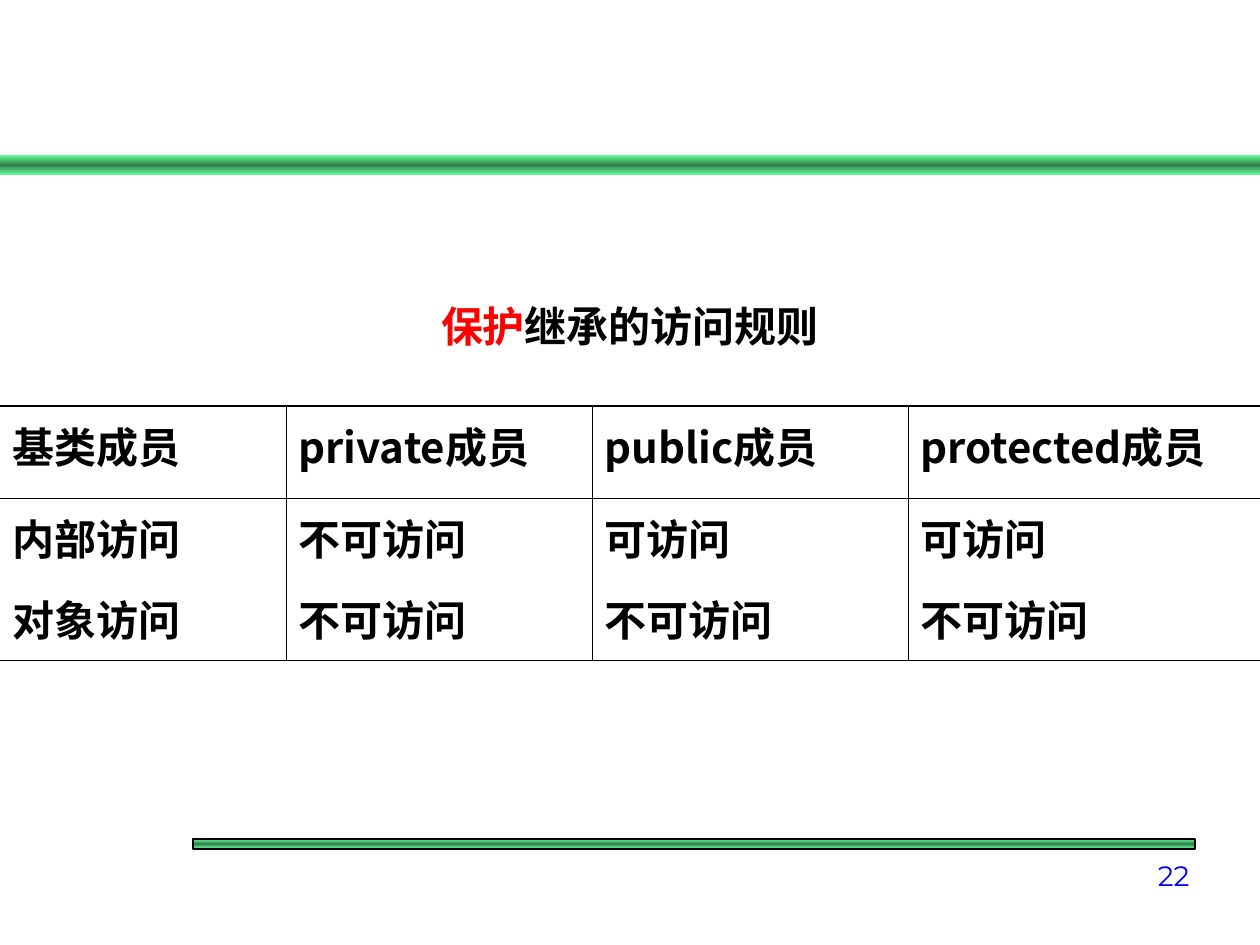
from copy import deepcopy

from lxml import etree
from pptx import Presentation
from pptx.dml.color import RGBColor
from pptx.enum.shapes import MSO_SHAPE
from pptx.enum.text import MSO_ANCHOR, PP_ALIGN
from pptx.oxml.ns import qn
from pptx.util import Emu, Pt

RECTANGLE = MSO_SHAPE.RECTANGLE
TOP, BOTTOM = MSO_ANCHOR.TOP, MSO_ANCHOR.BOTTOM
CENTER, RIGHT = PP_ALIGN.CENTER, PP_ALIGN.RIGHT

# Content
TITLE_RUNS = [("保护", "FF0000"), ("继承的访问规则", "000000")]
ACCESS_RULES = [
    ["基类成员", "private成员", "public成员", "protected成员"],
    ["内部访问", "不可访问", "可访问", "可访问"],
    ["对象访问", "不可访问", "不可访问", "不可访问"],
]
PAGE_NUMBER = "22"

# Layout in px
TITLE_BOX = (0, 294, 1260, 80)
TABLE_LEFT, TABLE_TOP = 0, 406
COLUMN_WIDTHS = [286, 306, 316, 352]
ROW_HEIGHTS = [92, 81, 81]
HEADER_BAR = (0, 155, 1260, 20)
FOOTER_BAR = (193, 839, 1002, 10)
PAGE_NUMBER_BOX = (1102, 849, 100, 49)

# Style
CJK_FONT, NUMBER_FONT = "Noto Sans CJK SC", "Montserrat"
BAR_COLORS = ["66FF99", "337F4C", "66FF99"]
THIN, THICK = 0.45, 1.08


def px(value):
    return Emu(value * 914400 // 126)


def box(lengths):
    return [px(length) for length in lengths]


def color(hex_string):
    return RGBColor.from_string(hex_string)


def format_run(run, size, font_name, hex_color, bold=False):
    font = run.font
    font.size, font.name, font.bold = Pt(size), font_name, bold
    font.color.rgb = color(hex_color)
    east_asian = etree.Element(qn("a:ea"), typeface=font_name)
    font._element.find(qn("a:latin")).addnext(east_asian)


def add_bar(slide, lengths, outlined):
    bar = slide.shapes.add_shape(RECTANGLE, *box(lengths))
    bar.shadow.inherit = False
    bar.fill.gradient()
    bar.fill.gradient_angle = 90
    first_stop = bar._element.spPr.find(".//" + qn("a:gs"))
    first_stop.addnext(deepcopy(first_stop))
    for index, stop in enumerate(bar.fill.gradient_stops):
        stop.position = index / 2
        stop.color.rgb = color(BAR_COLORS[index])
    if outlined:
        bar.line.color.rgb = color("000000")
        bar.line.width = Pt(1)
    else:
        bar.line.fill.background()


def set_borders(cell, widths):
    properties = cell._tc.get_or_add_tcPr()
    for side in "LRTB":
        width = widths.get(side, 0)
        line = etree.SubElement(properties, qn("a:ln" + side), w=str(Pt(width)))
        if width:
            fill = etree.SubElement(line, qn("a:solidFill"))
            etree.SubElement(fill, qn("a:srgbClr"), val="000000")
        else:
            etree.SubElement(line, qn("a:noFill"))


def add_access_table(slide):
    row_count, column_count = len(ROW_HEIGHTS), len(COLUMN_WIDTHS)
    lengths = (TABLE_LEFT, TABLE_TOP, sum(COLUMN_WIDTHS), sum(ROW_HEIGHTS))
    table = slide.shapes.add_table(row_count, column_count, *box(lengths)).table
    table.first_row = table.horz_banding = False
    for column, width in zip(table.columns, COLUMN_WIDTHS):
        column.width = px(width)
    for row, height in zip(table.rows, ROW_HEIGHTS):
        row.height = px(height)

    # Rules above, below the header and at the bottom; rules between columns
    horizontal_rules = [THICK, THIN, 0, THIN]
    vertical_rules = [0] + [THIN] * (column_count - 1) + [0]
    for row_index, texts in enumerate(ACCESS_RULES):
        for column_index, text in enumerate(texts):
            cell = table.cell(row_index, column_index)
            set_borders(cell, {
                "L": vertical_rules[column_index],
                "R": vertical_rules[column_index + 1],
                "T": horizontal_rules[row_index],
                "B": horizontal_rules[row_index + 1],
            })
            cell.fill.background()
            cell.margin_top = px(9)
            cell.text_frame.text = text
            run = cell.text_frame.paragraphs[0].runs[0]
            format_run(run, 24, CJK_FONT, "000000", bold=True)


def main():
    presentation = Presentation()
    presentation.slide_width, presentation.slide_height = px(1260), px(945)
    slide = presentation.slides.add_slide(presentation.slide_layouts[5])

    # Green bars
    add_bar(slide, HEADER_BAR, outlined=False)
    add_bar(slide, FOOTER_BAR, outlined=True)

    # Title
    title = slide.shapes.title
    title.left, title.top, title.width, title.height = box(TITLE_BOX)
    title.text_frame.vertical_anchor = TOP
    paragraph = title.text_frame.paragraphs[0]
    paragraph.alignment = CENTER
    for text, hex_color in TITLE_RUNS:
        run = paragraph.add_run()
        run.text = text
        format_run(run, 24, CJK_FONT, hex_color, bold=True)

    add_access_table(slide)

    # Page number
    number_frame = slide.shapes.add_textbox(*box(PAGE_NUMBER_BOX)).text_frame
    number_frame.word_wrap = True
    number_frame.vertical_anchor = BOTTOM
    number_frame.text = PAGE_NUMBER
    number_frame.paragraphs[0].alignment = RIGHT
    format_run(number_frame.paragraphs[0].runs[0], 16, NUMBER_FONT, "0000FF")

    presentation.save("out.pptx")


if __name__ == "__main__":
    main()
